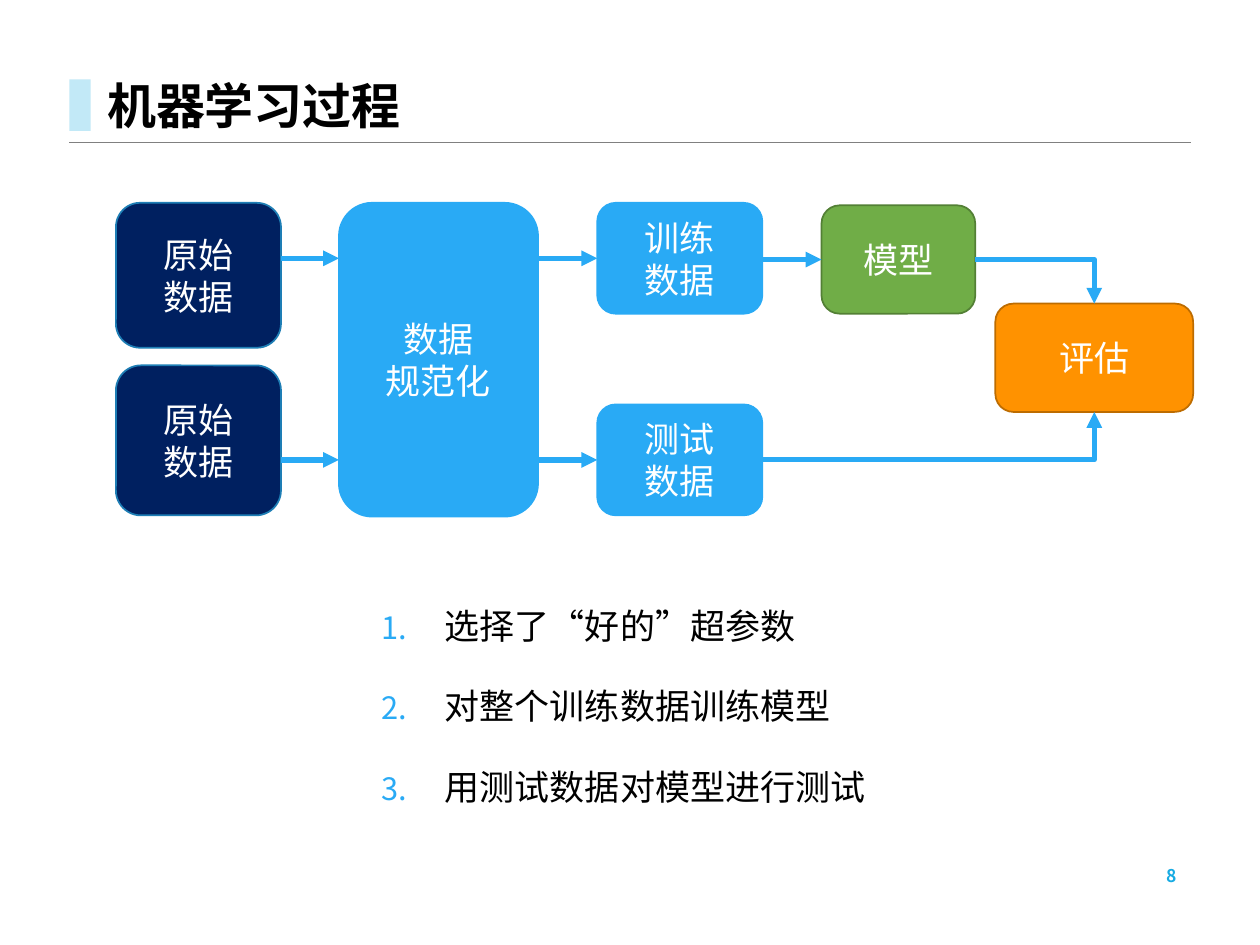
from lxml.etree import SubElement
from pptx import Presentation
from pptx.dml.color import RGBColor
from pptx.enum.shapes import MSO_CONNECTOR, MSO_SHAPE
from pptx.enum.text import MSO_ANCHOR, MSO_AUTO_SIZE, PP_ALIGN
from pptx.oxml.ns import qn
from pptx.util import Pt

PX = 9144
BLACK = RGBColor(0x00, 0x00, 0x00)
WHITE = RGBColor(0xFF, 0xFF, 0xFF)
GRAY = RGBColor(0x80, 0x80, 0x80)
PALE_BLUE = RGBColor(0xC2, 0xE9, 0xF7)
NUMBER_BLUE = RGBColor(0x17, 0xAB, 0xE3)
BLUE = RGBColor(0x29, 0xAA, 0xF5)
NAVY = RGBColor(0x00, 0x20, 0x60)
NAVY_EDGE = RGBColor(0x1E, 0x7E, 0xB5)
GREEN = RGBColor(0x70, 0xAD, 0x47)
GREEN_EDGE = RGBColor(0x53, 0x80, 0x35)
ORANGE = RGBColor(0xFF, 0x92, 0x00)
ORANGE_EDGE = RGBColor(0xBD, 0x6C, 0x00)
SANS = "Noto Sans CJK JP"
LATIN = "Arial"


def add_text(para, text, size, color, font=SANS, bold=False):
    span = para.add_run()
    span.text = text
    span.font.name = font
    span.font.size = Pt(size)
    span.font.bold = bold
    span.font.color.rgb = color


def add_line(kind, start, end, color, width, arrow=True):
    line = page.shapes.add_connector(kind, *[value * PX for value in start + end])
    line.line.color.rgb = color
    line.line.width = Pt(width)
    if arrow:
        SubElement(line.line._get_or_add_ln(), qn("a:tailEnd"), type="triangle")
    SubElement(line._element.spPr, qn("a:effectLst"))
    return line


deck = Presentation()
deck.slide_width = 1000 * PX
deck.slide_height = 750 * PX
page = deck.slides.add_slide(deck.slide_layouts[1])

add_line(MSO_CONNECTOR.STRAIGHT, (55, 113), (945, 113), GRAY, 0.25, arrow=False)
accent = page.shapes.add_shape(MSO_SHAPE.RECTANGLE, 55 * PX, 63 * PX, 17 * PX, 41 * PX)
accent.shadow.inherit = False
accent.fill.solid()
accent.fill.fore_color.rgb = PALE_BLUE
accent.line.fill.background()

title = page.shapes.title
title.left, title.top, title.width, title.height = 75 * PX, 0, 890 * PX, 112 * PX
title.text_frame.vertical_anchor = MSO_ANCHOR.BOTTOM
title.text_frame.auto_size = MSO_AUTO_SIZE.NONE
para = title.text_frame.paragraphs[0]
para.alignment = PP_ALIGN.LEFT
para.line_spacing = 0.9
add_text(para, "机器学习过程", 28, BLACK, bold=True)

number = page.shapes.add_textbox(705 * PX, 683 * PX, 239 * PX, 23 * PX)
number.text_frame.word_wrap = True
number.text_frame.vertical_anchor = MSO_ANCHOR.MIDDLE
para = number.text_frame.paragraphs[0]
para.alignment = PP_ALIGN.RIGHT
add_text(para, "8", 10, NUMBER_BLUE, bold=True)

steps = page.placeholders[1]
steps.left, steps.top, steps.width, steps.height = 293 * PX, 458 * PX, 412 * PX, 249 * PX
steps.text_frame.auto_size = MSO_AUTO_SIZE.NONE
for index, text in enumerate(["选择了“好的”超参数", "对整个训练数据训练模型", "用测试数据对模型进行测试"]):
    para = steps.text_frame.add_paragraph() if index else steps.text_frame.paragraphs[0]
    properties = para._p.get_or_add_pPr()
    properties.set("marL", str(50 * PX))
    properties.set("indent", str(-50 * PX))
    bullet_color = SubElement(properties, qn("a:buClr"))
    SubElement(bullet_color, qn("a:srgbClr"), val=str(BLUE))
    SubElement(properties, qn("a:buSzPct"), val="88000")
    SubElement(properties, qn("a:buFont"), typeface=SANS)
    SubElement(properties, qn("a:buAutoNum"), type="arabicPeriod")
    para.line_spacing = 1.5
    para.space_before = Pt(10 if index else 0)
    add_text(para, text, 20, BLACK)

stages = [
    ("raw training", ["原始", "数据"], (92, 161, 131, 115), NAVY, NAVY_EDGE, LATIN),
    ("raw testing", ["原始", "数据"], (92, 290, 131, 119), NAVY, NAVY_EDGE, LATIN),
    ("normalization", ["数据", "规范化"], (269, 161, 158, 249), BLUE, BLUE, SANS),
    ("training", ["训练", "数据"], (474, 161, 131, 88), BLUE, BLUE, SANS),
    ("testing", ["测试", "数据"], (474, 321, 131, 88), BLUE, BLUE, SANS),
    ("model", ["模型"], (652, 163, 122, 86), GREEN, GREEN_EDGE, LATIN),
    ("evaluation", ["评估"], (790, 241, 157, 86), ORANGE, ORANGE_EDGE, LATIN),
]
boxes = {}
for stage, lines, place, fill, edge, font in stages:
    box = page.shapes.add_shape(MSO_SHAPE.ROUNDED_RECTANGLE, *[value * PX for value in place])
    box.shadow.inherit = False
    box.fill.solid()
    box.fill.fore_color.rgb = fill
    box.line.color.rgb = edge
    box.line.width = Pt(1)
    box.text_frame.vertical_anchor = MSO_ANCHOR.MIDDLE
    for index, text in enumerate(lines):
        para = box.text_frame.add_paragraph() if index else box.text_frame.paragraphs[0]
        para.alignment = PP_ALIGN.CENTER
        add_text(para, text, 20, WHITE, font)
    boxes[stage] = box

for target, y in [("training", 205), ("testing", 365)]:
    add_line(MSO_CONNECTOR.STRAIGHT, (223, y), (269, y), BLUE, 3)
    arrow = add_line(MSO_CONNECTOR.STRAIGHT, (427, y), (474, y), BLUE, 3)
    arrow.end_connect(boxes[target], 1)

arrow = add_line(MSO_CONNECTOR.STRAIGHT, (605, 206), (652, 206), BLUE, 3)
arrow.end_connect(boxes["model"], 1)

for source, start, end, side in [
    ("model", (774, 206), (868, 241), 0),
    ("testing", (605, 365), (868, 327), 2),
]:
    arrow = add_line(MSO_CONNECTOR.ELBOW, start, end, BLUE, 3)
    arrow._element.spPr.find(qn("a:prstGeom")).set("prst", "bentConnector2")
    arrow.begin_connect(boxes[source], 3)
    arrow.end_connect(boxes["evaluation"], side)

deck.save("out.pptx")
